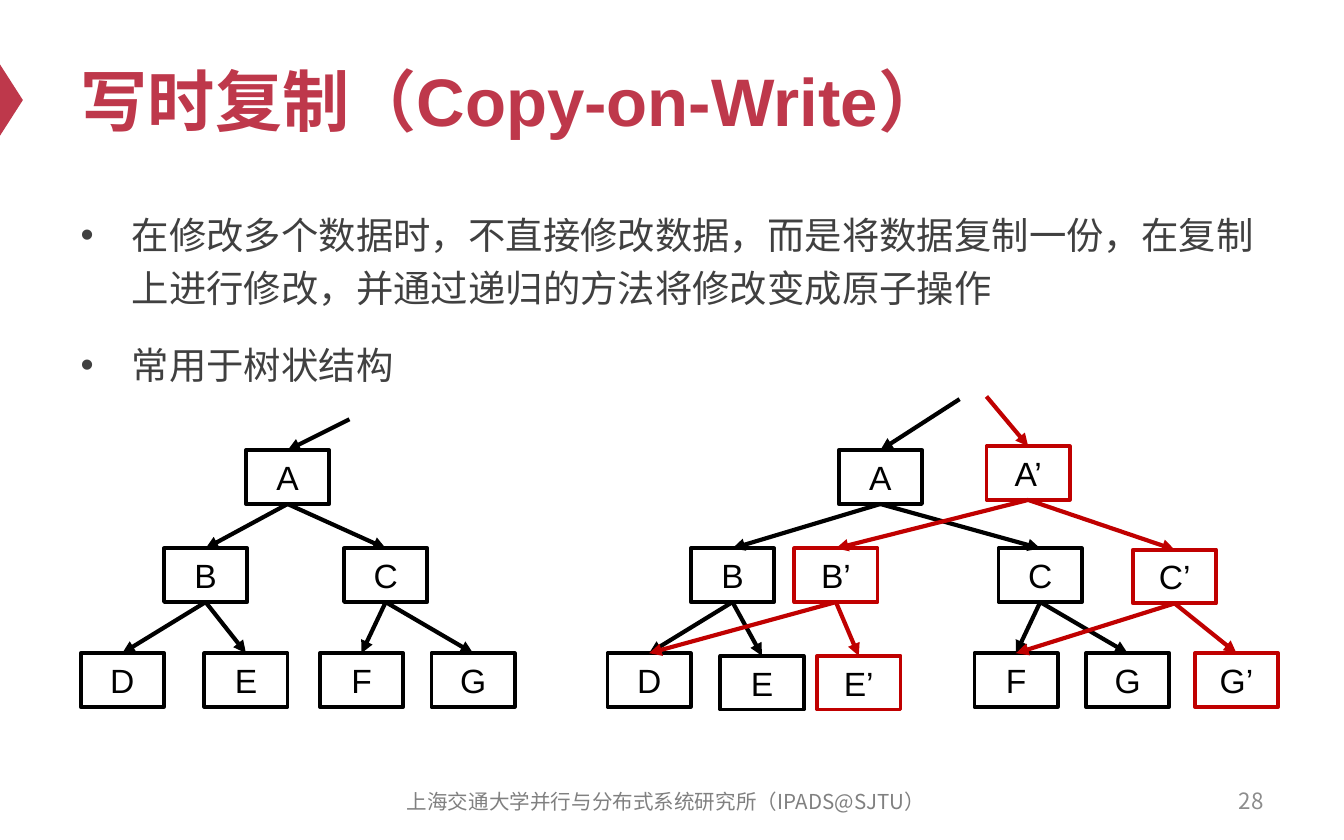
from lxml.etree import SubElement
from pptx import Presentation
from pptx.dml.color import RGBColor
from pptx.enum.shapes import MSO_CONNECTOR, MSO_SHAPE
from pptx.enum.text import MSO_ANCHOR, MSO_AUTO_SIZE, PP_ALIGN
from pptx.oxml.ns import qn
from pptx.util import Inches, Pt

CRIMSON = RGBColor(0xBE, 0x38, 0x4B)
RED = RGBColor(0xC0, 0x00, 0x00)
BLACK = RGBColor(0x00, 0x00, 0x00)
WHITE = RGBColor(0xFF, 0xFF, 0xFF)
DARK_GREY = RGBColor(0x40, 0x40, 0x40)
MID_GREY = RGBColor(0x80, 0x80, 0x80)
LIGHT_GREY = RGBColor(0x8C, 0x8C, 0x8C)
LATIN, CJK = "Arial", "Noto Sans CJK SC"
NODE_W, NODE_H = 0.62, 0.4
TOP, BOTTOM = 0, 2  # connection sites of a rectangle

ROOT_Y, INNER_Y, LEAF_Y = 3.35, 4.08, 4.86
TREE_EDGES = ["AB", "AC", "BD", "BE", "CF", "CG"]
OLD_TREE = {"A": (1.83, ROOT_Y), "B": (1.22, INNER_Y), "C": (2.56, INNER_Y),
            "D": (0.6, LEAF_Y), "E": (1.52, LEAF_Y),
            "F": (2.38, LEAF_Y), "G": (3.21, LEAF_Y)}
SHARED_TREE = {"A": (6.24, ROOT_Y), "B": (5.14, INNER_Y), "C": (7.43, INNER_Y),
               "D": (4.52, LEAF_Y), "E": (5.36, 4.88),
               "F": (7.25, LEAF_Y), "G": (8.08, LEAF_Y)}
COPIES = {"E’": (6.08, 4.88), "G’": (8.89, LEAF_Y), "B’": (5.91, INNER_Y),
          "C’": (8.43, 4.09), "A’": (7.34, 3.32)}
COPY_EDGES = [("B’", "E’"), ("A’", "C’"), ("A’", "B’"),
              ("C’", "G’"), ("C’", "F"), ("B’", "D")]


class Deck:
    def __init__(self):
        self.prs = Presentation()
        self.prs.slide_width, self.prs.slide_height = Inches(10), Inches(6.25)
        self.s = self.prs.slides.add_slide(self.prs.slide_layouts[1])

    def run(self, p, text, size, color, font=LATIN, bold=False):
        r = p.add_run()
        r.text = text
        r.font.name, r.font.size, r.font.bold = font, Pt(size), bold
        r.font.color.rgb = color
        SubElement(r.font._element, qn("a:ea"), typeface=CJK)

    def place(self, sp, x, y, w, h):
        sp.left, sp.top, sp.width, sp.height = map(Inches, (x, y, w, h))

    def title(self, text):
        sp = self.s.shapes.title
        self.place(sp, 0.5, 0.25, 9, 0.98)
        tf = sp.text_frame
        tf.auto_size, tf.vertical_anchor = MSO_AUTO_SIZE.NONE, MSO_ANCHOR.MIDDLE
        p = tf.paragraphs[0]
        p.alignment = PP_ALIGN.LEFT
        self.run(p, text, 36, CRIMSON, bold=True)

    def bullets(self, items):
        sp = self.s.placeholders[1]
        self.place(sp, 0.5, 1.46, 9, 4.12)
        tf = sp.text_frame
        tf.auto_size = MSO_AUTO_SIZE.NONE
        for i, item in enumerate(items):
            p = tf.add_paragraph() if i else tf.paragraphs[0]
            pPr = p._p.get_or_add_pPr()
            pPr.set("marL", str(Inches(0.38)))
            pPr.set("indent", str(Inches(-0.38)))
            SubElement(pPr, qn("a:buFont"), typeface=LATIN)
            SubElement(pPr, qn("a:buChar"), char="•")
            p.line_spacing = 1.2
            p.space_before = Pt(12 if i else 0)
            self.run(p, item, 20, DARK_GREY)

    def text(self, text, x, y, w, h, size, color, align):
        tf = self.s.shapes.add_textbox(*map(Inches, (x, y, w, h))).text_frame
        tf.word_wrap, tf.vertical_anchor = True, MSO_ANCHOR.MIDDLE
        p = tf.paragraphs[0]
        p.alignment = align
        self.run(p, text, size, color, CJK)

    def shape(self, kind, x, y, w, h, fill):
        sp = self.s.shapes.add_shape(kind, *map(Inches, (x, y, w, h)))
        sp.shadow.inherit = False
        sp.fill.solid()
        sp.fill.fore_color.rgb = fill
        return sp

    def marker(self):
        sp = self.shape(MSO_SHAPE.ISOSCELES_TRIANGLE, -0.18, 0.66, 0.53, 0.17, CRIMSON)
        sp.rotation = 90
        sp.line.fill.background()

    def node(self, label, x, y, color):
        sp = self.shape(MSO_SHAPE.RECTANGLE, x, y, NODE_W, NODE_H, WHITE)
        sp.line.color.rgb, sp.line.width = color, Pt(2)
        tf = sp.text_frame
        tf.vertical_anchor = MSO_ANCHOR.MIDDLE
        p = tf.paragraphs[0]
        p.alignment = PP_ALIGN.CENTER
        self.run(p, label, 18, BLACK)
        return sp

    def nodes(self, places, color):
        return {label: self.node(label, x, y, color)
                for label, (x, y) in places.items()}

    def arrow(self, start, child, color):
        """Point at the top of child from a parent node or a free (x, y)."""
        free = isinstance(start, tuple)
        x, y = map(Inches, start) if free else (0, 0)
        line = self.s.shapes.add_connector(MSO_CONNECTOR.STRAIGHT, x, y, x, y)
        if not free:
            line.begin_connect(start, BOTTOM)
        line.end_connect(child, TOP)
        line.line.color.rgb, line.line.width = color, Pt(2.25)
        SubElement(line.line._get_or_add_ln(), qn("a:tailEnd"), type="triangle")
        SubElement(line._element.spPr, qn("a:effectLst"))

    def tree(self, places):
        nodes = self.nodes(places, BLACK)
        for parent, child in TREE_EDGES:
            self.arrow(nodes[parent], nodes[child], BLACK)
        return nodes


def main():
    deck = Deck()
    deck.marker()
    deck.title("写时复制（Copy-on-Write）")
    deck.bullets([
        "在修改多个数据时，不直接修改数据，而是将数据复制一份，在复制上进行修改，"
        "并通过递归的方法将修改变成原子操作",
        "常用于树状结构",
    ])
    deck.text("28", 7.17, 5.79, 2.33, 0.33, 12, LIGHT_GREY, PP_ALIGN.RIGHT)
    deck.text("上海交通大学并行与分布式系统研究所（IPADS@SJTU）",
              2.79, 5.8, 4.33, 0.33, 11, MID_GREY, PP_ALIGN.CENTER)

    old = deck.tree(OLD_TREE)
    shared = deck.tree(SHARED_TREE)
    copies = deck.nodes(COPIES, RED)
    deck.arrow((2.6, 3.12), old["A"], BLACK)
    deck.arrow((7.14, 2.97), shared["A"], BLACK)
    versions = shared | copies
    for parent, child in COPY_EDGES:
        deck.arrow(versions[parent], versions[child], RED)
    deck.arrow((7.34, 2.95), copies["A’"], RED)
    deck.prs.save("out.pptx")


if __name__ == "__main__":
    main()
